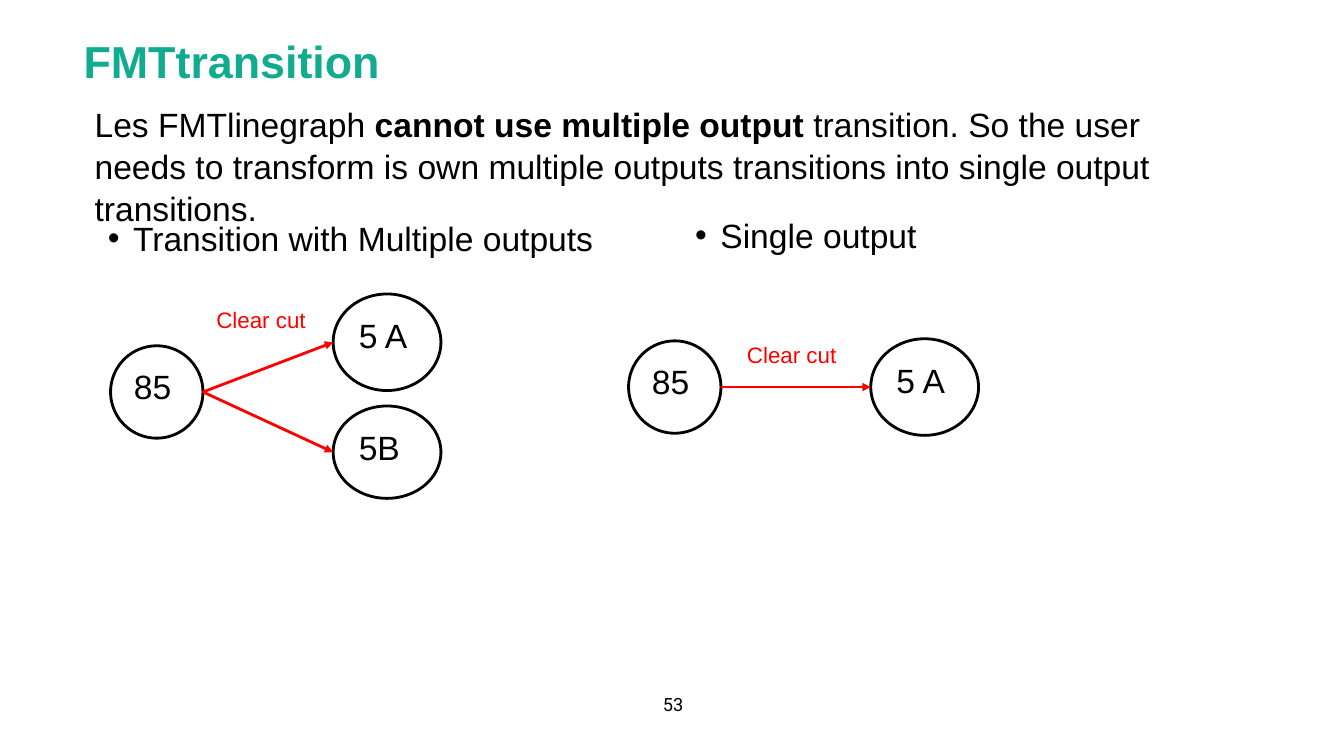
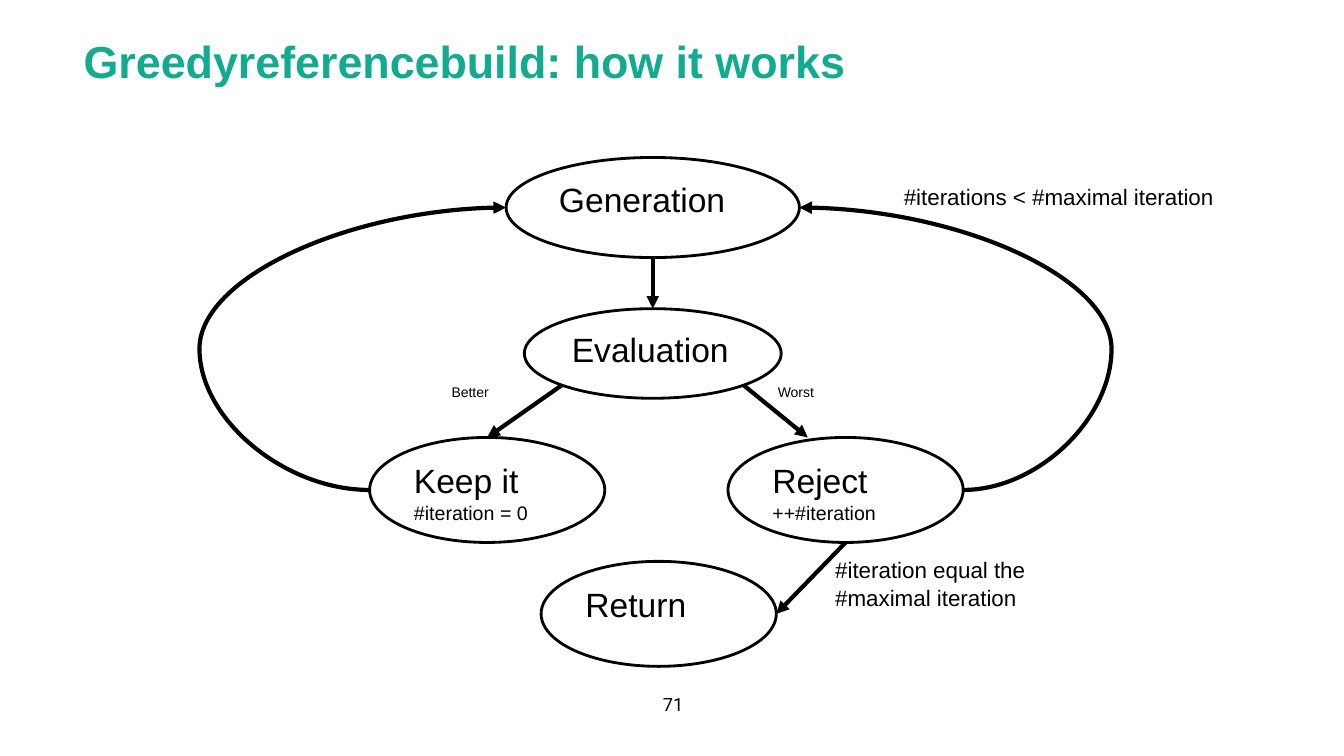
import math

from lxml import etree
from pptx import Presentation
from pptx.dml.color import RGBColor
from pptx.enum import shapes, text
from pptx.oxml import ns
from pptx.util import Pt

BLACK = RGBColor(0x00, 0x00, 0x00)
RED = RGBColor(0xFF, 0x00, 0x00)
GREEN = RGBColor(0x11, 0xAB, 0x90)
TITLE_BOX = (52.5, 6, 816, 60)
NUMBER_BOX = (461, 491, 39.5, 24)
TOP, RIGHT, BOTTOM, LEFT = -90, 0, 90, 180
BOTTOM_LEFT, BOTTOM_RIGHT = 135, 45


def child(parent, tag, **attrs):
    return etree.SubElement(parent, ns.qn(tag), attrs)


def write(p, content, size=24, color=BLACK, bold=False, font="Arial", spacing=1.05):
    """Add a formatted run to a paragraph."""
    p.line_spacing = spacing
    r = p.add_run()
    r.text = content
    r.font.name = font
    r.font.size = Pt(size)
    r.font.bold = bold
    r.font.color.rgb = color


def add_text(s, box, content, align=text.PP_ALIGN.LEFT,
             anchor=text.MSO_ANCHOR.TOP, **fmt):
    tf = s.shapes.add_textbox(*map(Pt, box)).text_frame
    tf.word_wrap = True
    tf.vertical_anchor = anchor
    p = tf.paragraphs[0]
    p.alignment = align
    write(p, content, **fmt)
    return p


def add_bullet(s, box, content):
    pPr = add_text(s, box, content)._p.get_or_add_pPr()
    pPr.set("marL", str(Pt(36)))
    pPr.set("indent", str(Pt(-18)))
    child(pPr, "a:buFont", typeface="Arial")
    child(pPr, "a:buChar", char="•")


def add_state(s, box, label, detail=None):
    """Draw an outlined ellipse with a label and an optional smaller line."""
    sp = s.shapes.add_shape(shapes.MSO_SHAPE.OVAL, *map(Pt, box))
    sp.shadow.inherit = False
    sp.fill.background()
    sp.line.color.rgb = BLACK
    sp.line.width = Pt(2)
    tf = sp.text_frame
    tf.word_wrap = True
    tf.vertical_anchor = text.MSO_ANCHOR.TOP
    tf.paragraphs[0].alignment = text.PP_ALIGN.LEFT
    write(tf.paragraphs[0], label)
    if detail:
        p = tf.add_paragraph()
        p.alignment = text.PP_ALIGN.LEFT
        write(p, detail, size=14)
    return sp


def edge(sp, degrees):
    """Point on an ellipse, with the angle running clockwise from its right."""
    a = math.radians(degrees)
    return (round(sp.left + sp.width / 2 * (1 + math.cos(a))),
            round(sp.top + sp.height / 2 * (1 + math.sin(a))))


def add_arrow(s, start, end, color=BLACK, width=3, bend_x=None):
    """Draw a straight arrow, or one that curves out as far as bend_x."""
    kind = shapes.MSO_CONNECTOR.STRAIGHT if bend_x is None else shapes.MSO_CONNECTOR.CURVE
    c = s.shapes.add_connector(kind, *start, *end)
    c.line.color.rgb = color
    c.line.width = Pt(width)
    child(c.line._get_or_add_ln(), "a:tailEnd", type="triangle")
    spPr = c._element.spPr
    child(spPr, "a:effectLst")
    if bend_x is not None:
        ratio = (bend_x - start[0]) / (end[0] - start[0])
        guides = spPr.find(ns.qn("a:prstGeom")).get_or_add_avLst()
        child(guides, "a:gd", name="adj1", fmla=f"val {round(ratio * 100000)}")


def new_slide(prs, title, number):
    s = prs.slides.add_slide(prs.slide_layouts[5])
    sp = s.shapes.title
    sp.left, sp.top, sp.width, sp.height = map(Pt, TITLE_BOX)
    tf = sp.text_frame
    tf.vertical_anchor = text.MSO_ANCHOR.BOTTOM
    p = tf.paragraphs[0]
    p.alignment = text.PP_ALIGN.LEFT
    write(p, title, size=32, color=GREEN, bold=True, spacing=1.0)
    add_text(s, NUMBER_BOX, number, size=13, font="Roboto", spacing=1.0,
             align=text.PP_ALIGN.CENTER, anchor=text.MSO_ANCHOR.MIDDLE)
    return s


def transition_slide(prs):
    s = new_slide(prs, "FMTtransition", "53")
    p = add_text(s, (60.5, 69, 824.5, 94), "Les FMTlinegraph ")
    write(p, "cannot use multiple output", bold=True)
    write(p, " transition. So the user needs to transform is own multiple outputs "
             "transitions into single output transitions.")
    add_bullet(s, (52, 150.5, 480, 36), "Transition with Multiple outputs")
    add_bullet(s, (471.5, 148.5, 480, 36), "Single output")

    diagrams = [
        ((79, 247, 66, 66), (147.5, 214),
         [("5 A", (238, 210, 77, 69)), ("5B", (238, 290, 77, 66))]),
        ((449, 243.5, 66, 66), (526.5, 239),
         [("5 A", (622, 242, 77, 69))]),
    ]
    for source_box, label_at, outputs in diagrams:
        source = add_state(s, source_box, "85")
        add_text(s, (*label_at, 83.5, 27), "Clear cut", size=16, color=RED)
        for name, box in outputs:
            output = add_state(s, box, name)
            add_arrow(s, edge(source, RIGHT), edge(output, LEFT), color=RED, width=2)


def greedy_slide(prs):
    s = new_slide(prs, "Greedyreferencebuild: how it works", "71")
    generation = add_state(s, (361.5, 112.5, 209.5, 71.5), "Generation")
    evaluation = add_state(s, (374.5, 220.5, 183.5, 64), "Evaluation")
    keep = add_state(s, (264, 312.5, 168, 75), "Keep it", "#iteration = 0")
    reject = add_state(s, (520, 312.5, 168, 75), "Reject", "++#iteration")
    result = add_state(s, (386.5, 401, 168, 75), "Return")

    add_arrow(s, edge(generation, BOTTOM), edge(evaluation, TOP))
    add_arrow(s, edge(evaluation, BOTTOM_LEFT), edge(keep, TOP))
    add_arrow(s, edge(evaluation, BOTTOM_RIGHT), (Pt(577), reject.top))
    add_arrow(s, edge(reject, BOTTOM), edge(result, RIGHT))
    add_arrow(s, edge(keep, LEFT), edge(generation, LEFT), bend_x=Pt(142.5))
    add_arrow(s, edge(reject, RIGHT), edge(generation, RIGHT), bend_x=Pt(794))

    add_text(s, (315.5, 270, 111, 19.5), "Better", size=10)
    add_text(s, (548.5, 270, 81.5, 19.5), "Worst", size=10)
    add_text(s, (638.5, 126, 312, 27), "#iterations < #maximal iteration", size=16)
    add_text(s, (589.5, 392.5, 181.5, 46), "#iteration equal the #maximal iteration", size=16)


def main():
    prs = Presentation()
    prs.slide_width, prs.slide_height = Pt(960), Pt(540)
    transition_slide(prs)
    greedy_slide(prs)
    prs.save("out.pptx")


if __name__ == "__main__":
    main()
